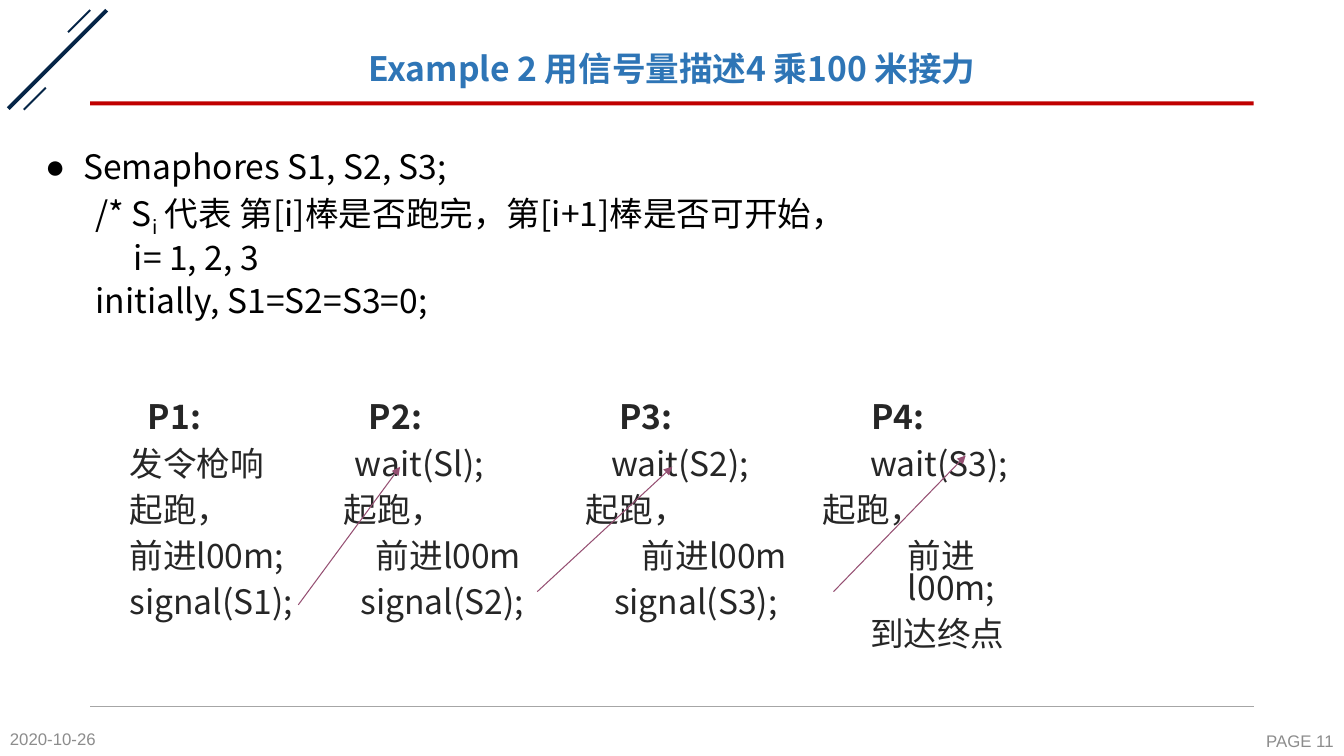
from pptx import Presentation
from pptx.dml.color import RGBColor
from pptx.enum.shapes import MSO_CONNECTOR, MSO_SHAPE
from pptx.enum.text import MSO_ANCHOR, PP_ALIGN
from pptx.oxml.ns import qn
from pptx.util import Pt
from lxml.etree import SubElement

CJK = "Noto Sans CJK SC"


def rgb(value):
    return RGBColor.from_string(value)


class Deck:
    navy, red, blue = "052547", "C00000", "2E75B6"
    black, dark, grey, rule, plum = "000000", "262626", "8C8C8C", "A6A6A6", "954F72"

    def __init__(self):
        self.prs = Presentation()
        self.prs.slide_width, self.prs.slide_height = Pt(960), Pt(540)
        self.s = self.prs.slides.add_slide(self.prs.slide_layouts[5])

    def bar(self, x, y, w, h, color, angle=0):
        sp = self.s.shapes.add_shape(MSO_SHAPE.RECTANGLE, Pt(x), Pt(y), Pt(w), Pt(h))
        sp.shadow.inherit = False
        sp.fill.solid()
        sp.fill.fore_color.rgb = rgb(color)
        sp.line.fill.background()
        sp.rotation = angle

    def line(self, x1, y1, x2, y2, color, width, arrow=False):
        sp = self.s.shapes.add_connector(
            MSO_CONNECTOR.STRAIGHT, Pt(x1), Pt(y1), Pt(x2), Pt(y2))
        sp.line.color.rgb = rgb(color)
        sp.line.width = Pt(width)
        if arrow:
            SubElement(sp.line._get_or_add_ln(), qn("a:tailEnd"), type="triangle")
        SubElement(sp._element.spPr, qn("a:effectLst"))

    def run(self, p, text, size, color, font=CJK, bold=False, baseline=0):
        r = p.add_run()
        r.text = text
        r.font.size, r.font.bold, r.font.name = Pt(size), bold, font
        r.font.color.rgb = rgb(color)
        rPr = r.font._element
        SubElement(rPr, qn("a:ea"), typeface=font)
        if baseline:
            rPr.set("baseline", str(baseline))

    def title(self, text):
        sp = self.s.shapes.title
        sp.left, sp.top, sp.width, sp.height = Pt(64.4), Pt(28.8), Pt(831), Pt(43.2)
        tf = sp.text_frame
        tf.vertical_anchor = MSO_ANCHOR.MIDDLE
        p = tf.paragraphs[0]
        p.alignment, p.line_spacing = PP_ALIGN.CENTER, 0.9
        self.run(p, text, 24, self.blue, bold=True)

    def box(self, x, y, w, h, anchor=MSO_ANCHOR.TOP):
        tf = self.s.shapes.add_textbox(Pt(x), Pt(y), Pt(w), Pt(h)).text_frame
        tf.word_wrap = True
        tf.vertical_anchor = anchor
        return tf

    def paragraph(self, tf, spacing, before=0, margin=0, bullet=None):
        p = tf.paragraphs[0]
        if p.runs:
            p = tf.add_paragraph()
        p.line_spacing, p.space_before = Pt(spacing), Pt(before)
        pPr = p._p.get_or_add_pPr()
        pPr.set("marL", str(Pt(margin)))
        pPr.set("indent", str(Pt(-margin if bullet else 0)))
        if bullet:
            SubElement(pPr, qn("a:buFont"), typeface="Arial")
            SubElement(pPr, qn("a:buChar"), char=bullet)
        return p

    def footer(self, x, y, w, text, align):
        p = self.box(x, y, w, 24.5, MSO_ANCHOR.MIDDLE).paragraphs[0]
        p.alignment = align
        self.run(p, text, 12, self.grey, "Arial")

    def process(self, steps, offsets):
        start = min(offsets)
        tf = self.box(85.5 + start, 285.3, 180, 172)
        for i, (text, offset) in enumerate(zip(steps, offsets)):
            p = self.paragraph(tf, 23, 10 if i else 0, offset - start)
            self.run(p, text, 24, self.dark, bold=i == 0)


def main():
    d = Deck()
    for x, y, w, h in ((-8.6, 41, 99.4, 2.9), (45.4, 14.4, 22.3, 1.4), (13.7, 69.8, 22.3, 1.4)):
        d.bar(x, y, w, h, d.navy, 315)
    d.bar(64.5, 72.5, 831, 2.9, d.red)
    d.line(64.5, 504.7, 895.5, 504.7, d.rule, 0.5)
    d.title("Example 2 用信号量描述4 乘100 米接力")
    d.footer(0, 515.5, 85, "2020-10-26", PP_ALIGN.LEFT)
    d.footer(856.1, 517, 103.7, "PAGE 11", PP_ALIGN.RIGHT)

    tf = d.box(25.2, 87.8, 910.8, 422)
    p = d.paragraph(tf, 42, margin=27, bullet="●")
    d.run(p, "Semaphores S1, S2, S3;", 24, d.black)
    p = d.paragraph(tf, 27, 10, 36)
    d.run(p, "/* S", 24, d.black)
    d.run(p, "i", 24, d.black, baseline=-25000)
    d.run(p, " 代表 第[i]棒是否跑完，第[i+1]棒是否可开始，", 24, d.black)
    for text, before, margin in (("i= 1, 2, 3", 0.7, 63.3),
                                 ("initially, S1=S2=S3=0;", 3.6, 36)):
        d.run(d.paragraph(tf, 27, before, margin), text, 24, d.black)

    d.process(("P1:", "发令枪响", "起跑，", "前进l00m;", "signal(S1);"), (13, 0, 0, 0, 0))
    d.process(("P2:", "wait(Sl);", "起跑，", "前进l00m", "signal(S2);"),
              (171, 161, 153, 176, 165))
    d.process(("P3:", "wait(S2);", "起跑，", "前进l00m", "signal(S3);"),
              (350, 344, 326, 366, 346))
    d.process(("P4:", "wait(S3);", "起跑，", "前进l00m;", "到达终点"),
              (530, 529, 495, 556, 529))

    for ends in ((213.1, 432, 285.8, 333.4), (383.8, 422.6, 480.2, 333.4),
                 (595.4, 422.6, 689.8, 325.4)):
        d.line(*ends, d.plum, 0.75, arrow=True)
    d.prs.save("out.pptx")


if __name__ == "__main__":
    main()
